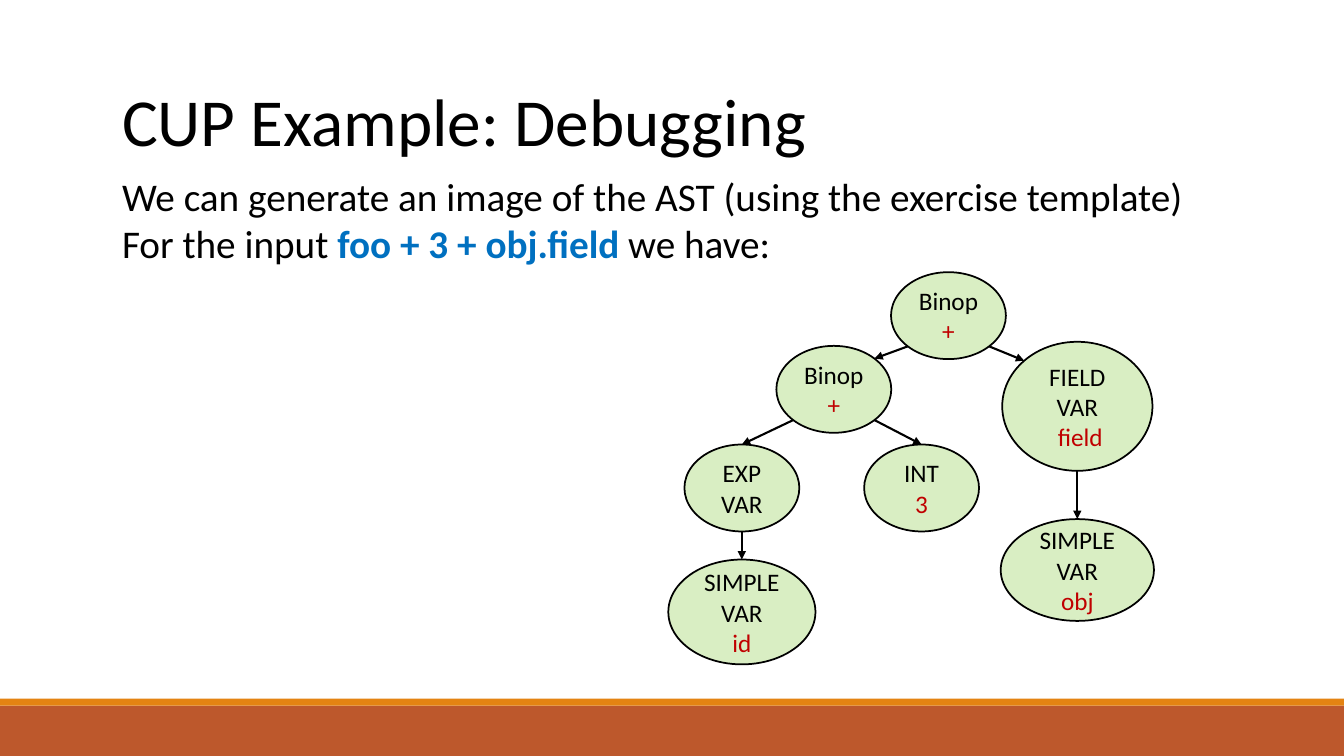
from lxml import etree
from math import cos, radians, sin

from pptx import Presentation
from pptx.dml.color import RGBColor
from pptx.enum.shapes import MSO_CONNECTOR, MSO_SHAPE
from pptx.enum.text import MSO_ANCHOR, MSO_AUTO_SIZE, PP_ALIGN
from pptx.oxml.ns import qn
from pptx.util import Inches, Pt

STRAIGHT = MSO_CONNECTOR.STRAIGHT
OVAL, RECTANGLE = MSO_SHAPE.OVAL, MSO_SHAPE.RECTANGLE
MIDDLE, TOP = MSO_ANCHOR.MIDDLE, MSO_ANCHOR.TOP
FIXED = MSO_AUTO_SIZE.NONE
CENTER, LEFT = PP_ALIGN.CENTER, PP_ALIGN.LEFT

WIDTH, HEIGHT = Inches(13.33), Inches(7.5)
FONT = "Calibri"
COLORS = {
    "ink": "000000",
    "input": "0070C0",
    "value": "C00000",
    "node": "92D050",
    "footer": "BD582C",
    "stripe": "E48312",
}
NODE_OPACITY = 34
SMALL = (8.55, 11.5)

NODES = {
    "sum": (70.57, 41.75, SMALL, [[("Binop ", "ink"), ("+", "value")]]),
    "inner sum": (62.04, 51.5, SMALL, [[("Binop ", "ink"), ("+", "value")]]),
    "expression": (55.2, 64.55, SMALL, [[("EXP", "ink")], [("VAR", "ink")]]),
    "field": (80.16, 53.75, (11.18, 17.07),
              [[("FIELD", "ink")], [("VAR", "ink")], [(" ", "ink"), ("field", "value")]]),
    "id": (55.2, 80.95, (10.95, 13.87),
           [[("SIMPLE", "ink")], [("VAR", "ink")], [("id", "value")]]),
    "object": (80.16, 75.4, (11.4, 13.47),
               [[("SIMPLE", "ink")], [("VAR", "ink")], [("obj", "value")]]),
    "integer": (68.57, 64.55, SMALL, [[("INT", "ink")], [("3", "value")]]),
}
UP, UP_RIGHT, DOWN_RIGHT, DOWN, DOWN_LEFT, UP_LEFT = 270, 315, 45, 90, 135, 225
EDGES = [
    ("sum", DOWN_LEFT, "inner sum", UP_RIGHT),
    ("sum", DOWN_RIGHT, "field", UP_LEFT),
    ("field", DOWN, "object", UP),
    ("inner sum", DOWN_LEFT, "expression", UP),
    ("inner sum", DOWN_RIGHT, "integer", UP),
    ("expression", DOWN, "id", UP),
]
TITLE = [[("CUP Example: Debugging", "ink")]]
BODY = [
    [("We can generate an image of the AST (using the exercise template)", "ink")],
    [("For the input ", "ink"), ("foo + 3 + obj.field", "input"), (" we have:", "ink")],
]


def across(share):
    return round(WIDTH * share / 100)


def down(share):
    return round(HEIGHT * share / 100)


def color(name):
    return RGBColor.from_string(COLORS[name])


def write(frame, paragraphs, size, align, anchor):
    frame.word_wrap = True
    frame.auto_size = FIXED
    frame.vertical_anchor = anchor
    for index, pieces in enumerate(paragraphs):
        para = frame.add_paragraph() if index else frame.paragraphs[0]
        para.alignment = align
        para.space_before = Pt(0)
        para.font.name = FONT
        para.font.size = Pt(size)
        for text, tone in pieces:
            span = para.add_run()
            span.text = text
            span.font.color.rgb = color(tone)
            if tone == "input":
                span.font.bold = True


def fill_placeholder(box, top, height, paragraphs, size, anchor):
    box.left, box.top = across(8.33), down(top)
    box.width, box.height = across(83.2), down(height)
    write(box.text_frame, paragraphs, size, LEFT, anchor)


def remove_bullets(box):
    for para in box.text_frame.paragraphs:
        properties = para._p.get_or_add_pPr()
        properties.set("marL", "0")
        properties.set("indent", "0")
        bullet = etree.Element(qn("a:buNone"))
        defaults = properties.find(qn("a:defRPr"))
        defaults.addprevious(bullet)


def add_bar(page, top, height, tone):
    bar = page.shapes.add_shape(RECTANGLE, 0, down(top), WIDTH, down(height))
    bar.shadow.inherit = False
    bar.fill.solid()
    bar.fill.fore_color.rgb = color(tone)
    bar.line.fill.background()


def add_node(page, center_x, center_y, size, paragraphs):
    width, height = size
    node = page.shapes.add_shape(
        OVAL, across(center_x - width / 2), down(center_y - height / 2),
        across(width), down(height))
    node.shadow.inherit = False
    node.fill.solid()
    node.fill.fore_color.rgb = color("node")
    tint = node.fill._xPr.find(qn("a:solidFill")).find(qn("a:srgbClr"))
    etree.SubElement(tint, qn("a:alpha"), val=str(NODE_OPACITY * 1000))
    node.line.color.rgb = color("ink")
    node.line.width = Pt(1.25)
    write(node.text_frame, paragraphs, 18, CENTER, MIDDLE)


def rim_point(name, angle):
    center_x, center_y, (width, height), _ = NODES[name]
    turn = radians(angle)
    return (across(center_x + width / 2 * cos(turn)),
            down(center_y + height / 2 * sin(turn)))


def add_arrow(page, start, end):
    arrow = page.shapes.add_connector(STRAIGHT, *start, *end)
    arrow.line.color.rgb = color("ink")
    arrow.line.width = Pt(1.5)
    etree.SubElement(arrow.line._get_or_add_ln(), qn("a:tailEnd"), type="triangle")
    etree.SubElement(arrow._element.spPr, qn("a:effectLst"))


def main():
    deck = Presentation()
    deck.slide_width, deck.slide_height = WIDTH, HEIGHT
    page = deck.slides.add_slide(deck.slide_layouts[1])
    add_bar(page, 93.33, 6.67, "footer")
    add_bar(page, 92.4, 0.93, "stripe")
    fill_placeholder(page.shapes.title, 9.73, 12.13, TITLE, 48, MIDDLE)
    body = page.placeholders[1]
    fill_placeholder(body, 22.13, 13.87, BODY, 28, TOP)
    remove_bullets(body)
    for node in NODES.values():
        add_node(page, *node)
    for parent, leaving, child, arriving in EDGES:
        add_arrow(page, rim_point(parent, leaving), rim_point(child, arriving))
    deck.save("out.pptx")


if __name__ == "__main__":
    main()
